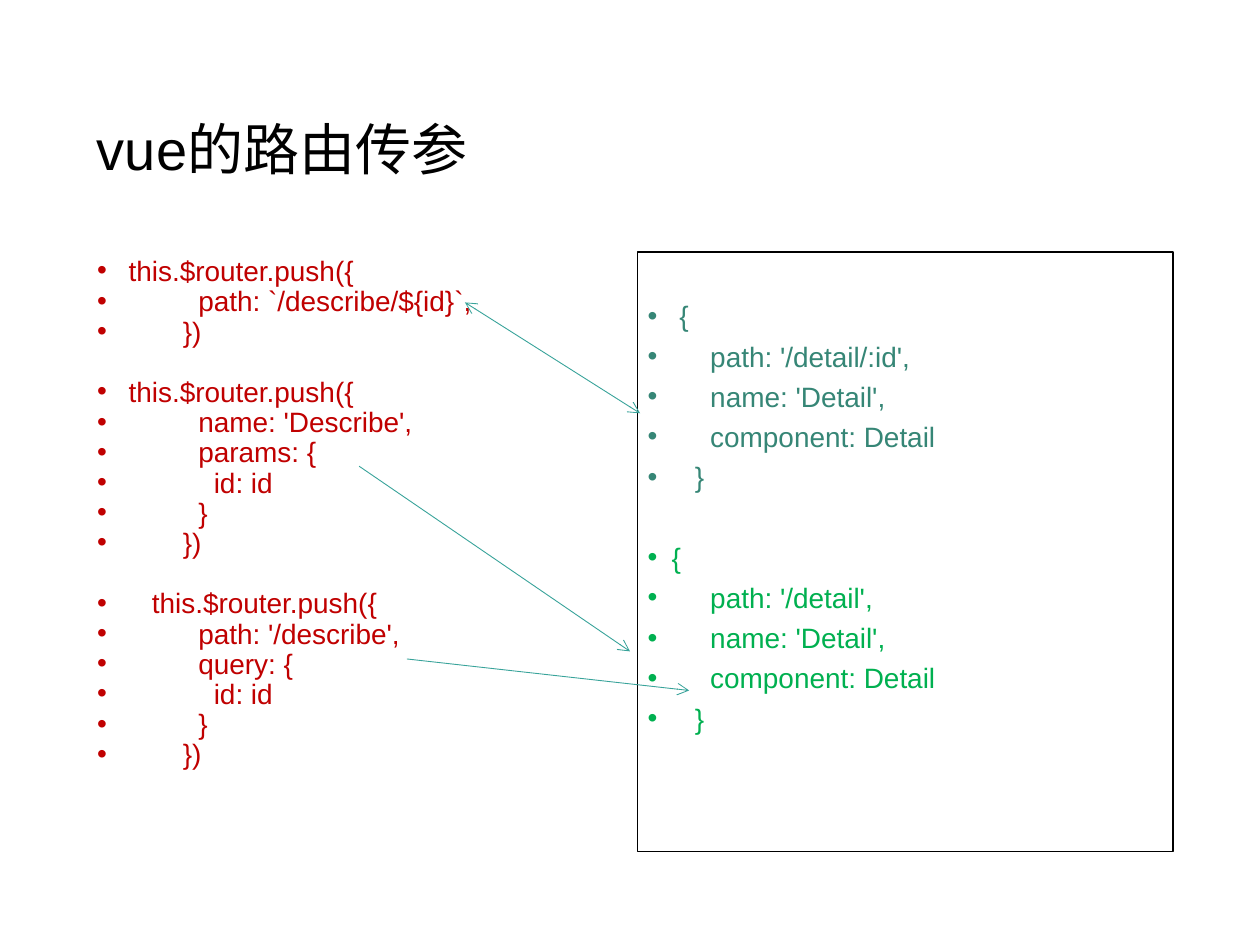
from pptx import Presentation
from pptx import util as u
from pptx.dml.color import RGBColor
from pptx.enum import shapes, text
from pptx.oxml.ns import qn
from lxml import etree

FONT = "Arial"
RED, TEAL, GREEN, ARROW = "C00000", "368676", "00B050", "38A39A"
TITLE = "vue的路由传参"

# Code blocks: (colour, lines)
PUSH_CALLS = [
    (RED, [" this.$router.push({",
           "          path: `/describe/${id}`,",
           "        })"]),
    (RED, [" this.$router.push({",
           "          name: 'Describe',",
           "          params: {",
           "            id: id",
           "          }",
           "        })"]),
    (RED, ["    this.$router.push({",
           "          path: '/describe',",
           "          query: {",
           "            id: id",
           "          }",
           "        })"]),
]
ROUTES = [
    (TEAL, [" {",
            "     path: '/detail/:id',",
            "     name: 'Detail',",
            "     component: Detail",
            "   }"]),
    (GREEN, ["{",
             "     path: '/detail',",
             "     name: 'Detail',",
             "     component: Detail",
             "   }"]),
]
# Arrows: start, end, line ends that carry an arrowhead
ARROWS = [
    ((3.69, 2.4), (5.08, 3.28), ("headEnd", "tailEnd")),
    ((2.85, 3.7), (5, 5.17), ("tailEnd",)),
    ((3.23, 5.23), (5.47, 5.48), ("tailEnd",)),
]
COL_TOP, COL_W, COL_H = 2, 4.25, 4.76
LEFT_X, RIGHT_X = 0.69, 5.06


def rgb(value):
    return RGBColor.from_string(value)


def set_frame(tf, top=0.04):
    tf.word_wrap = True
    tf.margin_left = tf.margin_right = u.Inches(0.08)
    tf.margin_top, tf.margin_bottom = u.Inches(top), u.Inches(0.04)
    tf.vertical_anchor = text.MSO_ANCHOR.TOP


def style(p, size, color):
    p.alignment = text.PP_ALIGN.LEFT
    for r in p.runs:
        r.font.name, r.font.size = FONT, u.Pt(size)
        r.font.color.rgb = rgb(color)


def add_bullet(p, color):
    ppr = p._p.get_or_add_pPr()
    ppr.set("marL", str(u.Inches(0.19)))
    ppr.set("indent", str(-u.Inches(0.19)))
    clr = etree.SubElement(ppr, qn("a:buClr"))
    etree.SubElement(clr, qn("a:srgbClr")).set("val", color)
    etree.SubElement(ppr, qn("a:buFont")).set("typeface", FONT)
    etree.SubElement(ppr, qn("a:buChar")).set("char", "•")


def fill_code(tf, blocks, pitch):
    """One bullet per code line, one line of space between blocks."""
    p = tf.paragraphs[0]
    for b, (color, lines) in enumerate(blocks):
        for i, line in enumerate(lines):
            if b or i:
                p = tf.add_paragraph()
            p.text = line
            add_bullet(p, color)
            p.line_spacing = u.Pt(pitch)
            p.space_before = u.Pt(pitch if b and not i else 0)
            style(p, 16, color)


prs = Presentation()
prs.slide_width, prs.slide_height = u.Inches(10), u.Inches(7.5)
s = prs.slides.add_slide(prs.slide_layouts[6])

# Title
tf = s.shapes.add_textbox(*map(u.Inches, (LEFT_X, 0.4, 8.63, 1.45))).text_frame
set_frame(tf)
tf.vertical_anchor = text.MSO_ANCHOR.MIDDLE
tf.text = TITLE
tf.paragraphs[0].line_spacing = 1.2
style(tf.paragraphs[0], 32, "000000")

# Navigation calls
tf = s.shapes.add_textbox(*map(u.Inches, (LEFT_X, COL_TOP, COL_W, COL_H))).text_frame
set_frame(tf)
fill_code(tf, PUSH_CALLS, 17.25)

# Route table in a frame
sp = s.shapes.add_shape(shapes.MSO_SHAPE.RECTANGLE,
                        *map(u.Inches, (RIGHT_X, COL_TOP, COL_W, COL_H)))
sp.shadow.inherit = False
sp.fill.background()
sp.line.color.rgb, sp.line.width = rgb("000000"), u.Pt(0.75)
set_frame(sp.text_frame, top=0.32)
fill_code(sp.text_frame, ROUTES, 23)

# Arrows from calls to routes
for start, end, heads in ARROWS:
    c = s.shapes.add_connector(shapes.MSO_CONNECTOR.STRAIGHT,
                               *map(u.Inches, start + end))
    c.line.color.rgb, c.line.width = rgb(ARROW), u.Pt(0.5)
    for head in heads:
        etree.SubElement(c.line._get_or_add_ln(), qn("a:" + head)).set("type", "arrow")
    etree.SubElement(c._element.spPr, qn("a:effectLst"))

prs.save("out.pptx")
